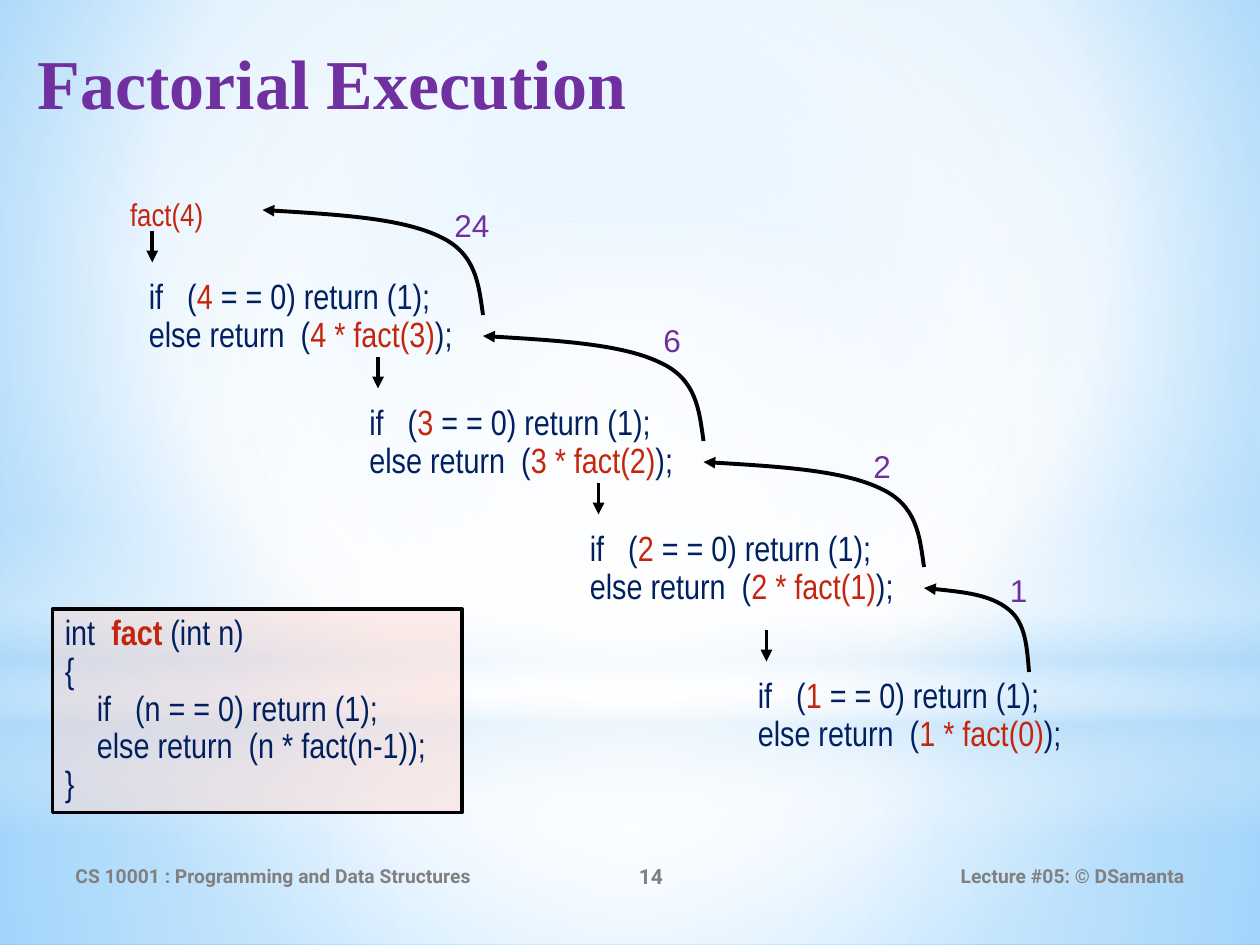
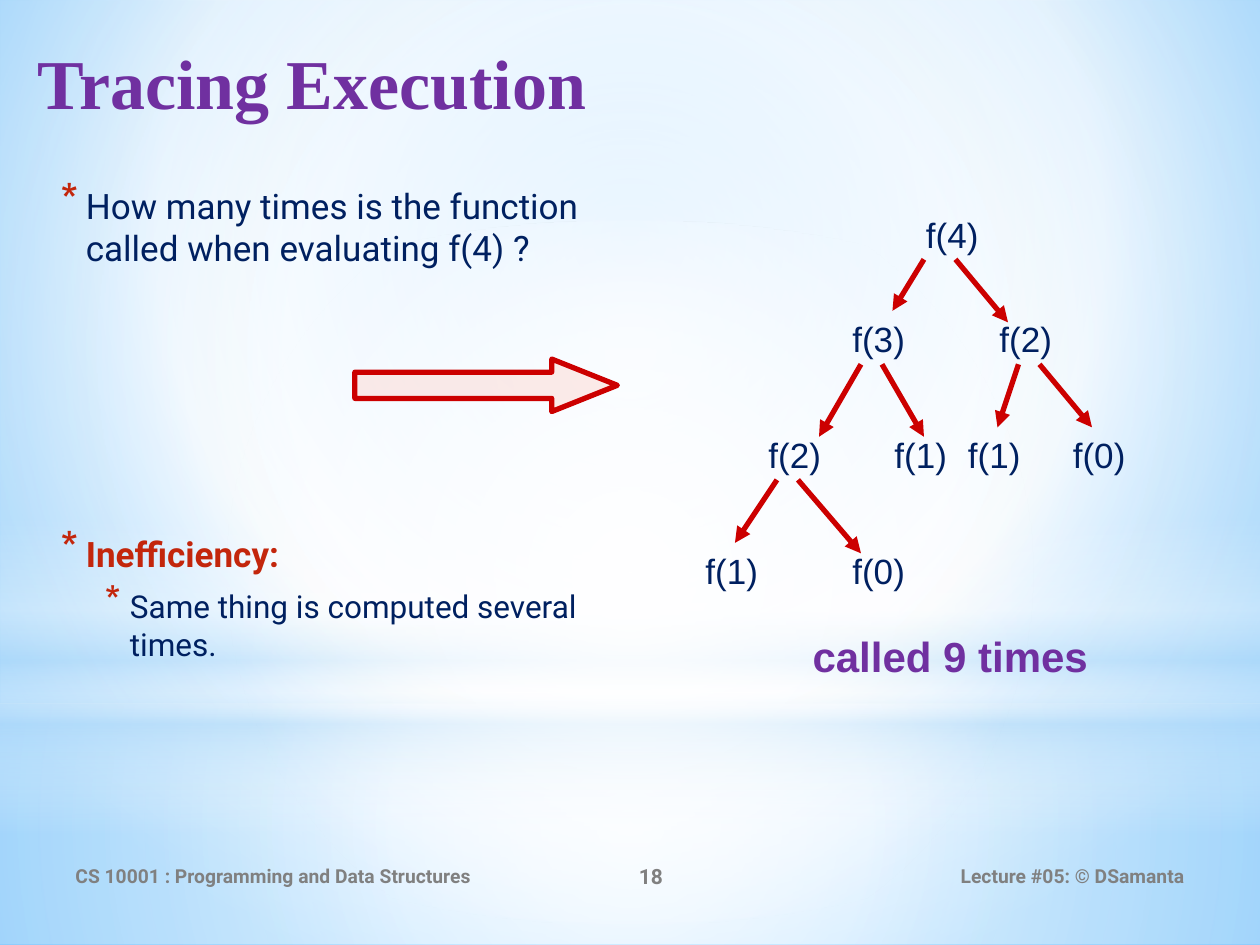
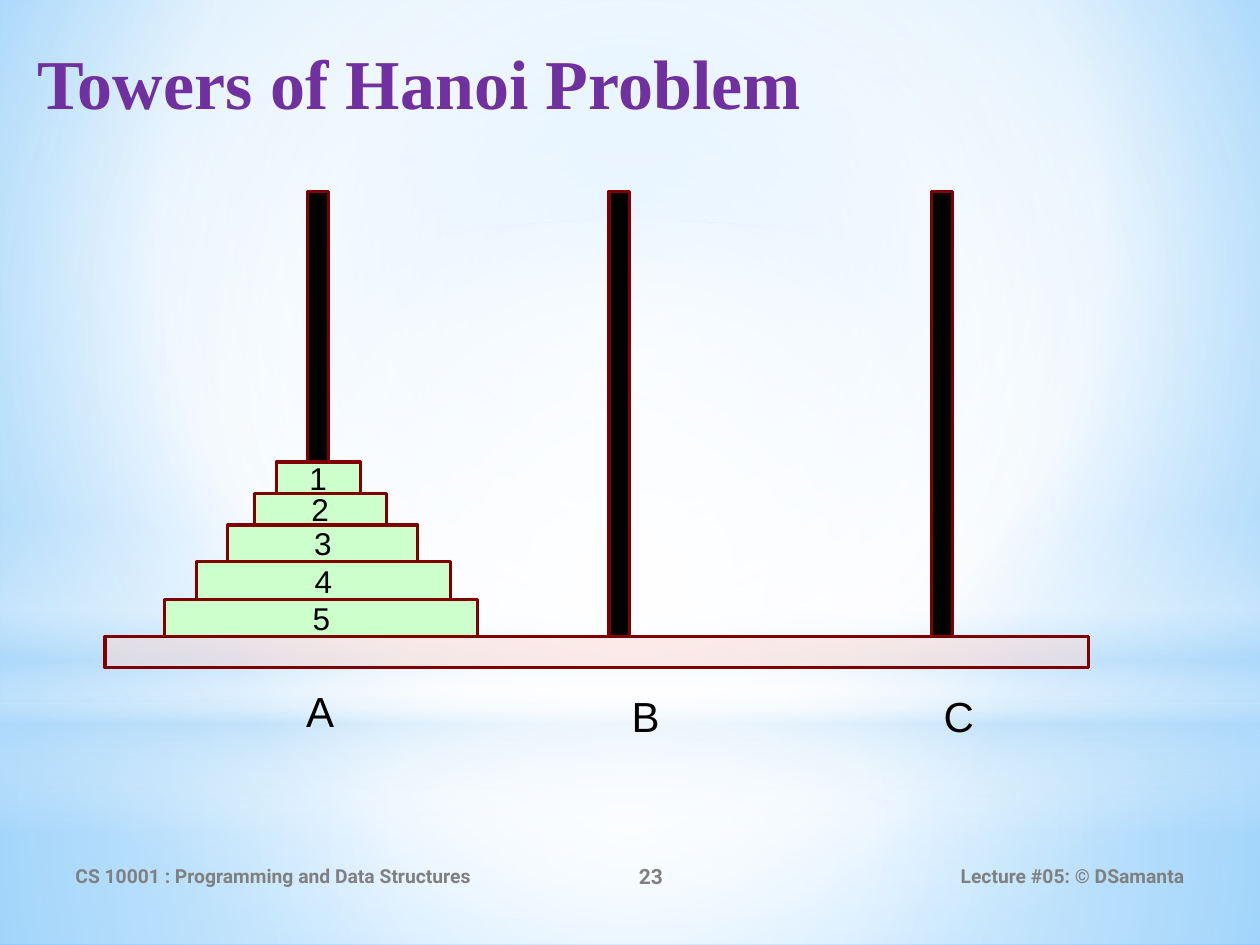
from lxml import etree
from pptx import Presentation
from pptx import util as u
from pptx.dml.color import RGBColor
from pptx.enum import shapes, text
from pptx.oxml import parse_xml
from pptx.oxml.ns import nsdecls, qn

SCALE = 7620
NAVY = RGBColor(0x00, 0x20, 0x60)
RUST = RGBColor(0xC3, 0x26, 0x0C)
PURPLE = RGBColor(0x70, 0x30, 0xA0)
GREY = RGBColor(0x80, 0x80, 0x80)
BLACK = RGBColor(0x00, 0x00, 0x00)
RED = RGBColor(0xCC, 0x00, 0x00)
MAROON = RGBColor(0x80, 0x00, 0x00)
PINK = RGBColor(0xFC, 0xD9, 0xD3)
GREEN = RGBColor(0xCC, 0xFF, 0xCC)
WHITE = RGBColor(0xFF, 0xFF, 0xFF)
HAZE = RGBColor(0xB4, 0xDC, 0xFA)
SKY = RGBColor(0x9E, 0xD5, 0xFF)
AZURE = RGBColor(0x5B, 0xB9, 0xFF)

KIND = shapes.MSO_SHAPE
LEFT, MID, RIGHT = text.PP_ALIGN.LEFT, text.PP_ALIGN.CENTER, text.PP_ALIGN.RIGHT
TOP, HALF = text.MSO_ANCHOR.TOP, text.MSO_ANCHOR.MIDDLE
NARROW = "Arial Narrow"

CURVE = [(1, 1), (0.98, 0.71), (0.97, 0.41), (0.8, 0.25),
         (0.63, 0.08), (0.32, 0.04), (0, 0)]
CENTER = (50, 50, 50, 50)
BANDS = [
    (KIND.RECTANGLE, (0, 670, 1200, 230), CENTER,
     [(0, WHITE, 91), (37, WHITE, 76), (100, HAZE, 79)]),
    (KIND.RECTANGLE, (0, 0, 1200, 670), CENTER,
     [(0, WHITE, 89), (48, WHITE, 62), (100, HAZE, 79)]),
    (KIND.RECTANGLE, (0, 494, 1200, 300), None,
     [(0, WHITE, 0), (29, WHITE, 30), (45, HAZE, 40),
      (55, WHITE, 26), (65, HAZE, 60), (100, WHITE, 0)]),
    (KIND.OVAL, (0, 210, 1200, 670), CENTER,
     [(0, WHITE, 100), (56, WHITE, 0)]),
]


def px(*nums):
    return [u.Emu(round(n * SCALE)) for n in nums]


def runs(para, line, size=20, face="Arial", color=NAVY, bold=False, hot=False):
    for i, part in enumerate(line.split("|")):
        if part:
            run = para.add_run()
            run.text = part
            font = run.font
            font.size, font.name = u.Pt(size), face
            font.color.rgb = RUST if i % 2 else color
            font.bold = bold or (hot and i % 2 == 1)


def write(frame, words, align=LEFT, anchor=TOP, wrap=True, space=None, **fmt):
    frame.word_wrap = wrap
    frame.auto_size = text.MSO_AUTO_SIZE.NONE
    frame.vertical_anchor = anchor
    for i, line in enumerate(words.split("\n")):
        para = frame.add_paragraph() if i else frame.paragraphs[0]
        para.alignment = align
        if space:
            para.line_spacing = space
        runs(para, line, **fmt)


def label(slide, box, words, **fmt):
    write(slide.shapes.add_textbox(*px(*box)).text_frame, words, **fmt)


def block(slide, kind, box, fill, alpha=None, line=None, width=1.75):
    shape = slide.shapes.add_shape(kind, *px(*box))
    shape.shadow.inherit = False
    shape.fill.solid()
    shape.fill.fore_color.rgb = fill
    if alpha:
        tint = shape.element.spPr.find(qn("a:solidFill"))[0]
        etree.SubElement(tint, qn("a:alpha"), val=str(alpha * 1000))
    if line is None:
        shape.line.fill.background()
    else:
        shape.line.color.rgb = line
        shape.line.width = u.Pt(width)
    return shape


def blend(props, stops, focus):
    marks = "".join(
        f'<a:gs pos="{pos * 1000}"><a:srgbClr val="{color}">'
        f'<a:alpha val="{alpha * 1000}"/></a:srgbClr></a:gs>'
        for pos, color, alpha in stops)
    if focus:
        sides = " ".join(f'{k}="{v * 1000}"' for k, v in zip("ltrb", focus))
        way = f'<a:path path="circle"><a:fillToRect {sides}/></a:path>'
    else:
        way = '<a:lin ang="5400000" scaled="0"/>'
    grad = parse_xml(f'<a:gradFill {nsdecls("a")} rotWithShape="1">'
                     f'<a:gsLst>{marks}</a:gsLst>{way}</a:gradFill>')
    props.replace(props.find(qn("a:solidFill")), grad)


def backdrop(master, slide):
    master.background.fill.solid()
    blend(master.element.find(".//" + qn("p:bgPr")),
          [(0, SKY, 100), (60, WHITE, 100), (100, AZURE, 100)],
          (20, 10, 20, 60))
    for i, (kind, box, focus, stops) in enumerate(BANDS):
        band = block(slide, kind, box, WHITE).element
        blend(band.spPr, stops, focus)
        band.nvSpPr.cNvPr.id = 20 + i
        master.shapes.element.insert(2 + i, band)


def frame(slide, title, page):
    head = slide.shapes.title
    head.left, head.top, head.width, head.height = px(24, 25, 1144, 132)
    write(head.text_frame, title, size=40, face="Times New Roman",
          color=PURPLE, bold=True)
    head.text_frame.margin_top = px(13)[0]
    feet = [(60, 440, "CS 10001 : Programming and Data Structures", LEFT, 11),
            (500, 240, str(page), MID, 12),
            (810, 330, "Lecture #05: © DSamanta", RIGHT, 11)]
    for left, width, words, align, size in feet:
        label(slide, (left, 810, width, 48), words, align=align, anchor=HALF,
              size=size, face="Roboto", color=GREY, bold=True)


def stroke(shape, color, width):
    shape.line.color.rgb = color
    shape.line.width = u.Pt(width)
    edge = shape.element.spPr.find(qn("a:ln"))
    etree.SubElement(edge, qn("a:tailEnd"), type="triangle")


def arrow(slide, ends, color=BLACK, width=2.25):
    line = slide.shapes.add_connector(shapes.MSO_CONNECTOR.STRAIGHT, *px(*ends))
    stroke(line, color, width)
    etree.SubElement(line.element.spPr, qn("a:effectLst"))


def curve(slide, left, top, width, height):
    dots = [px(left + x * width, top + y * height) for x, y in CURVE]
    pen = slide.shapes.build_freeform(*dots[0], scale=1.0)
    pen.add_line_segments(dots[1:], close=False)
    shape = pen.convert_to_shape()
    shape.shadow.inherit = False
    shape.fill.background()
    stroke(shape, BLACK, 2.25)
    route = shape.element.find(".//" + qn("a:path"))
    legs = route.findall(qn("a:lnTo"))
    for i in range(0, len(legs), 3):
        bend = etree.SubElement(route, qn("a:cubicBezTo"))
        for leg in legs[i:i + 3]:
            bend.append(leg[0])
            route.remove(leg)


def call(slide, left, top, num, value, drop, arc, spot):
    label(slide, (left, top, 360, 84),
          f"if   (|{num}| = = 0) return (1);\n"
          f"else return  (|{num} * fact({num - 1})|);",
          face=NARROW, space=0.9)
    arrow(slide, (left + drop, top - 40, left + drop, top - 10))
    dx, dy, width, height = arc
    curve(slide, left + dx, top + dy, width, height)
    label(slide, (left + spot[0], top + spot[1], 50, 48), str(value),
          size=18, color=PURPLE, wrap=False)


def code(slide, box):
    shape = block(slide, KIND.RECTANGLE, box, PINK, 49, BLACK, 2)
    write(shape.text_frame,
          "int  |fact |(int n)\n{\n    if   (n = = 0) return (1);\n"
          "    else return  (n * fact(n-1));\n}",
          face=NARROW, space=0.9, hot=True)


def factorial(slide):
    label(slide, (112, 180, 104, 48), "|fact(4)|", size=18, face=NARROW,
          wrap=False)
    wide = (120, -60, 210, 100)
    call(slide, 130, 260, 4, 24, 15, wide, (291, -70))
    call(slide, 340, 380, 3, 6, 20, wide, (280, -80))
    call(slide, 550, 500, 2, 2, 20, wide, (270, -80))
    call(slide, 710, 640, 1, 1, 20, (170, -80, 100, 80), (240, -102))
    code(slide, (50, 580, 390, 194))


def tree(slide, left, top):
    nodes = [(4, 210, 0), (3, 140, 99), (2, 280, 99), (2, 60, 210),
             (1, 180, 210), (1, 250, 210), (0, 350, 210), (1, 0, 320),
             (0, 140, 320)]
    edges = [(220, 50, 190, 99), (250, 50, 300, 110), (160, 150, 120, 219),
             (180, 150, 220, 219), (310, 150, 290, 210), (330, 150, 380, 210),
             (80, 260, 40, 320), (100, 260, 160, 330)]
    for num, x, y in nodes:
        label(slide, (left + x, top + y, 90, 52), f"f({num})")
    for x1, y1, x2, y2 in edges:
        arrow(slide, (left + x1, top + y1, left + x2, top + y2), RED, 3)


def points(slide, box):
    body = slide.shapes.add_textbox(*px(*box)).text_frame
    body.word_wrap = True
    items = [
        ("How many times is the function called when evaluating f(4) ?",
         0, 20, 0),
        ("|Inefficiency:|", 0, 20, 148),
        ("Same thing is computed several times.", 1, 18, 4),
    ]
    for i, (words, level, size, before) in enumerate(items):
        para = body.add_paragraph() if i else body.paragraphs[0]
        para.level = level
        props = para._p.get_or_add_pPr()
        props.set("marL", str(px(72 if level else 30)[0]))
        props.set("indent", str(px(-24)[0]))
        tint = etree.SubElement(props, qn("a:buClr"))
        etree.SubElement(tint, qn("a:srgbClr"), val=str(RUST))
        etree.SubElement(props, qn("a:buSzPct"), val="130000")
        etree.SubElement(props, qn("a:buChar"), char="*")
        para.space_before, para.space_after = u.Pt(before), u.Pt(3)
        runs(para, words, size=size, face="Roboto", hot=True)


def tracing(slide):
    tree(slide, 660, 197)
    points(slide, (40, 170, 554, 640))
    big = block(slide, KIND.RIGHT_ARROW, (338, 342, 250, 50), PINK, 50, RED, 3)
    big.adjustments[0], big.adjustments[1] = 0.5, 1.25
    label(slide, (762, 595, 299, 60), "called 9 times", size=24,
          color=PURPLE, bold=True)


def towers(slide, left, top):
    for x in (193, 480, 787):
        block(slide, KIND.RECTANGLE, (left + x, top - 424, 20, 424), BLACK,
              line=MAROON)
    block(slide, KIND.RECTANGLE, (left, top, 937, 30), PINK, 50, MAROON)
    disks = [(57, 298, 35), (87, 242, 36), (117, 181, 35), (142, 126, 30),
             (163, 80, 30)]
    rise = top
    for num, (x, width, height) in zip(range(5, 0, -1), disks):
        rise -= height
        disk = block(slide, KIND.RECTANGLE, (left + x, rise, width, height),
                     GREEN, line=MAROON)
        write(disk.text_frame, str(num), size=18, color=BLACK, align=MID,
              anchor=HALF, wrap=False)
    for name, x, y, width in (("A", 142, 41, 126), ("B", 394, 46, 242),
                              ("C", 727, 46, 172)):
        label(slide, (left + x, top + y, width, 60), name, size=24,
              color=BLACK, align=MID)


def hanoi(slide):
    towers(slide, 100, 606)


def main():
    deck = Presentation()
    deck.slide_width, deck.slide_height = px(1200, 900)
    pages = [("Factorial Execution", 14, factorial),
             ("Tracing Execution", 18, tracing),
             ("Towers of Hanoi Problem", 23, hanoi)]
    for i, (title, page, draw) in enumerate(pages):
        slide = deck.slides.add_slide(deck.slide_layouts[5])
        if i == 0:
            backdrop(deck.slide_master, slide)
        frame(slide, title, page)
        draw(slide)
    deck.save("out.pptx")


if __name__ == "__main__":
    main()
